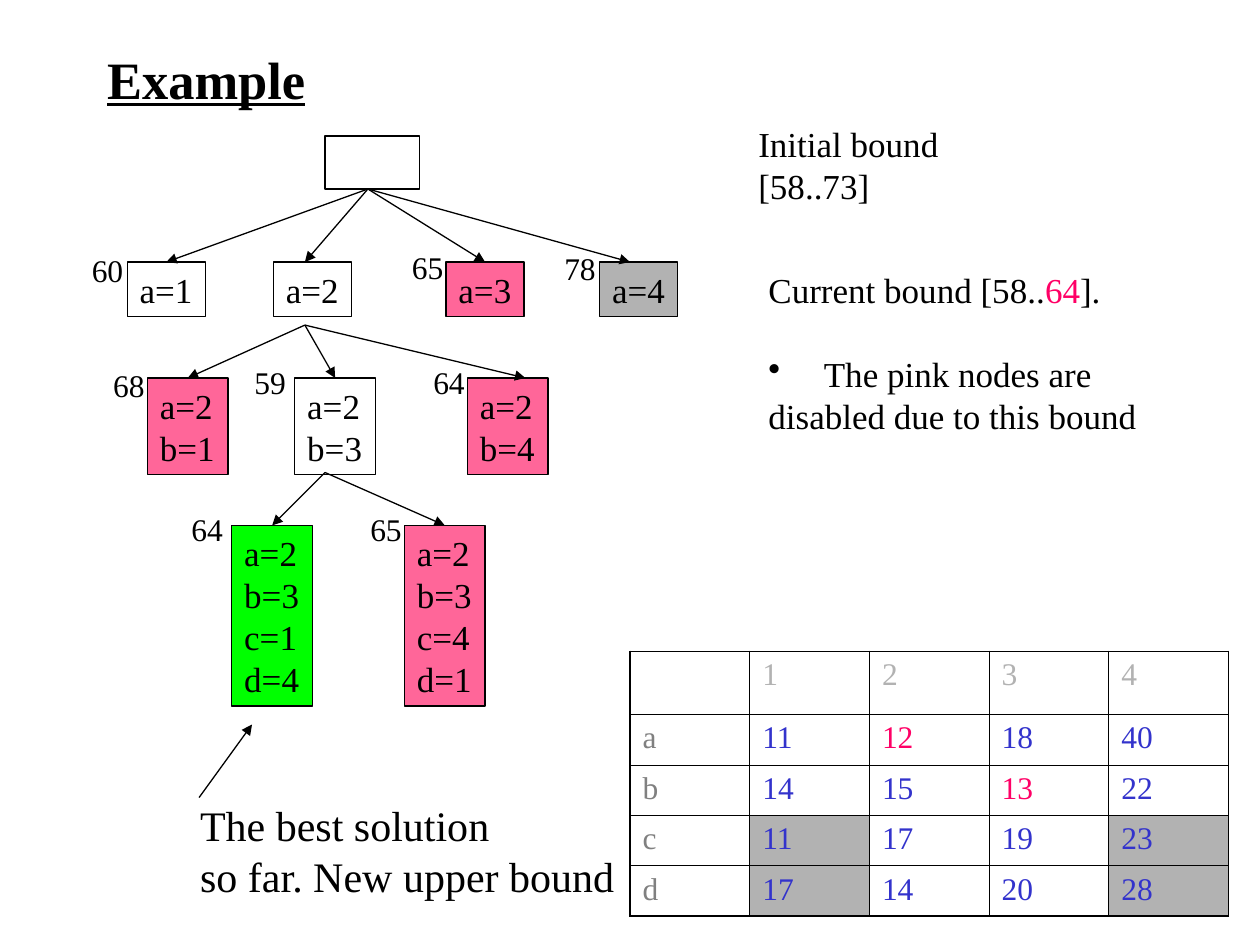
from dataclasses import dataclass

from lxml import etree
from pptx import Presentation
from pptx.dml.color import RGBColor
from pptx.enum.shapes import MSO_CONNECTOR, MSO_SHAPE
from pptx.enum.text import MSO_ANCHOR, MSO_AUTO_SIZE, PP_ALIGN
from pptx.oxml.ns import qn
from pptx.util import Inches, Pt

STRAIGHT = MSO_CONNECTOR.STRAIGHT
RECTANGLE = MSO_SHAPE.RECTANGLE
LEFT = PP_ALIGN.LEFT
MIDDLE, TOP = MSO_ANCHOR.MIDDLE, MSO_ANCHOR.TOP
FIT_SHAPE = MSO_AUTO_SIZE.SHAPE_TO_FIT_TEXT

FONT = "Times New Roman"
BLACK, GRAY, DARK_GRAY = "000000", "B2B2B2", "808080"
PINK, GREEN, RED, BLUE = "FF6699", "00FF00", "FF0066", "3333CC"
JOIN_TOLERANCE = 0.04
TOP_SIDE = 0


@dataclass
class Node:
    left: float
    top: float
    lines: list[str]
    fill: str | None = None
    arrow_to: float = 0
    bound: str = ""
    bound_left: float = 0
    bound_top: float = 0

    @property
    def width(self) -> float:
        return 0.62 if len(self.lines) == 1 else 0.64

    @property
    def height(self) -> float:
        return 0.1 + len(self.lines) / 3


@dataclass
class Branch:
    start: tuple[float, float]
    children: list[Node]


BRANCHES = [
    Branch((2.92, 1.5), [
        Node(1.01, 2.08, ["a=1"], None, 1.33, "60", 0.63, 1.94),
        Node(2.17, 2.08, ["a=2"], None, 2.42),
        Node(3.54, 2.08, ["a=3"], PINK, 3.83, "65", 3.17, 1.92),
        Node(4.76, 2.08, ["a=4"], GRAY, 5, "78", 4.38, 1.93),
    ]),
    Branch((2.42, 2.58), [
        Node(1.17, 3, ["a=2", "b=1"], PINK, 1.5, "68", 0.8, 2.86),
        Node(2.34, 3, ["a=2", "b=3"], None, 2.67, "59", 1.92, 2.83),
        Node(3.71, 3, ["a=2", "b=4"], PINK, 4.17, "64", 3.34, 2.83),
    ]),
    Branch((2.58, 3.75), [
        Node(1.84, 4.17, ["a=2", "b=3", "c=1", "d=4"], GREEN, 2.17, "64", 1.42, 4),
        Node(3.21, 4.17, ["a=2", "b=3", "c=4", "d=1"], PINK, 3.5, "65", 2.84, 4),
    ]),
]

COSTS = [
    ["", "1", "2", "3", "4"],
    ["a", "11", "12", "18", "40"],
    ["b", "14", "15", "13", "22"],
    ["c", "11", "17", "19", "23"],
    ["d", "17", "14", "20", "28"],
]
CHOSEN_CELLS = {(1, 2), (2, 3)}
SHADED_CELLS = {(3, 1), (3, 4), (4, 1), (4, 4)}


def color(value: str) -> RGBColor:
    return RGBColor.from_string(value)


def set_font(font, size: float, value: str = BLACK) -> None:
    font.name = FONT
    font.size = Pt(size)
    font.color.rgb = color(value)


def write_lines(shape, lines: list[str], size: float) -> list:
    frame = shape.text_frame
    frame.word_wrap = False
    frame.auto_size = FIT_SHAPE
    frame.vertical_anchor = TOP
    frame.text = "\n".join(lines)
    for paragraph in frame.paragraphs:
        paragraph.alignment = LEFT
        set_font(paragraph.font, size)
    return list(frame.paragraphs)


def add_text(slide, left: float, top: float, width: float, height: float,
             lines: list[str], size: float) -> list:
    box = slide.shapes.add_textbox(Inches(left), Inches(top), Inches(width), Inches(height))
    return write_lines(box, lines, size)


def add_box(slide, left: float, top: float, width: float, height: float, fill: str | None = None):
    box = slide.shapes.add_shape(
        RECTANGLE, Inches(left), Inches(top), Inches(width), Inches(height))
    box.shadow.inherit = False
    if fill:
        box.fill.solid()
        box.fill.fore_color.rgb = color(fill)
    else:
        box.fill.background()
    box.line.color.rgb = color(BLACK)
    box.line.width = Pt(0.75)
    return box


def add_arrow(slide, start: tuple[float, float], end: tuple[float, float]):
    arrow = slide.shapes.add_connector(STRAIGHT, *(Inches(value) for value in start + end))
    arrow.line.color.rgb = color(BLACK)
    arrow.line.width = Pt(0.75)
    line = arrow._element.spPr.find(qn("a:ln"))
    etree.SubElement(line, qn("a:tailEnd"), type="triangle")
    etree.SubElement(arrow._element.spPr, qn("a:effectLst"))
    return arrow


def add_branch(slide, branch: Branch) -> None:
    for node in branch.children:
        box = add_box(slide, node.left, node.top, node.width, node.height, node.fill)
        write_lines(box, node.lines, 20)
        arrow = add_arrow(slide, branch.start, (node.arrow_to, node.top))
        if abs(node.left + node.width / 2 - node.arrow_to) <= JOIN_TOLERANCE:
            arrow.end_connect(box, TOP_SIDE)
        if node.bound:
            add_text(slide, node.bound_left, node.bound_top, 0.45, 0.4, [node.bound], 18)


def set_borders(cell, widths: dict[str, float]) -> None:
    properties = cell._tc.get_or_add_tcPr()
    for position, (side, width) in enumerate(widths.items()):
        line = etree.Element(qn(f"a:ln{side}"), w=str(Pt(width)))
        fill = etree.SubElement(line, qn("a:solidFill"))
        etree.SubElement(fill, qn("a:srgbClr"), val=BLACK)
        properties.insert(position, line)


def add_cost_table(slide) -> None:
    last = len(COSTS) - 1
    table = slide.shapes.add_table(
        len(COSTS), len(COSTS), Inches(5), Inches(5.17), Inches(4.75), Inches(2.1)).table
    table.first_row = table.horz_banding = False
    for index in range(len(COSTS)):
        table.columns[index].width = Inches(0.95)
        table.rows[index].height = Inches(0.4 if index else 0.5)
    for row, values in enumerate(COSTS):
        for column, value in enumerate(values):
            cell = table.cell(row, column)
            if (row, column) in SHADED_CELLS:
                cell.fill.solid()
                cell.fill.fore_color.rgb = color(GRAY)
            else:
                cell.fill.background()
            outer = {"L": column == 0, "R": column == last, "T": row == 0, "B": row == last}
            set_borders(cell, {side: 1.08 if edge else 0.45 for side, edge in outer.items()})
            cell.text = value
            text_color = GRAY if row == 0 else DARK_GRAY if column == 0 else BLUE
            if (row, column) in CHOSEN_CELLS:
                text_color = RED
            set_font(cell.text_frame.paragraphs[0].font, 18, text_color)


def add_current_bound(slide) -> None:
    first, bullet, _ = add_text(
        slide, 6, 2.08, 3.12, 1.44,
        ["Current bound [58..", "The pink nodes are", "disabled due to this bound"], 20)
    for text, value in (("64", RED), ("].", BLACK)):
        run = first.add_run()
        run.text = text
        run.font.color.rgb = color(value)
    bullet.space_before = Pt(24)
    properties = bullet._p.get_or_add_pPr()
    properties.set("marL", str(Inches(0.44)))
    properties.set("indent", str(Inches(-0.44)))
    mark = etree.Element(qn("a:buChar"), char="•")
    properties.find(qn("a:defRPr")).addprevious(mark)


def main() -> None:
    presentation = Presentation()
    presentation.slide_width, presentation.slide_height = Inches(10), Inches(7.5)
    slide = presentation.slides.add_slide(presentation.slide_layouts[5])

    # Title
    title = slide.shapes.title
    title.left, title.top, title.width, title.height = map(Inches, (0.75, 0.33, 6.75, 0.58))
    title.text_frame.text = "Example"
    title.text_frame.vertical_anchor = MIDDLE
    heading = title.text_frame.paragraphs[0]
    heading.alignment = LEFT
    set_font(heading.font, 30)
    heading.font.bold = heading.font.underline = True

    # Search tree
    add_box(slide, 2.58, 1.08, 0.75, 0.42)
    for branch in BRANCHES:
        add_branch(slide, branch)

    # Cost table
    add_cost_table(slide)

    # Remarks
    add_text(slide, 5.92, 0.92, 1.63, 0.77, ["Initial bound", "[58..73]"], 20)
    add_current_bound(slide)
    add_arrow(slide, (1.58, 6.33), (2, 5.75))
    add_text(slide, 1.49, 6.3, 3.5, 0.9, ["The best solution", "so far. New upper bound"], 24)

    presentation.save("out.pptx")


if __name__ == "__main__":
    main()
